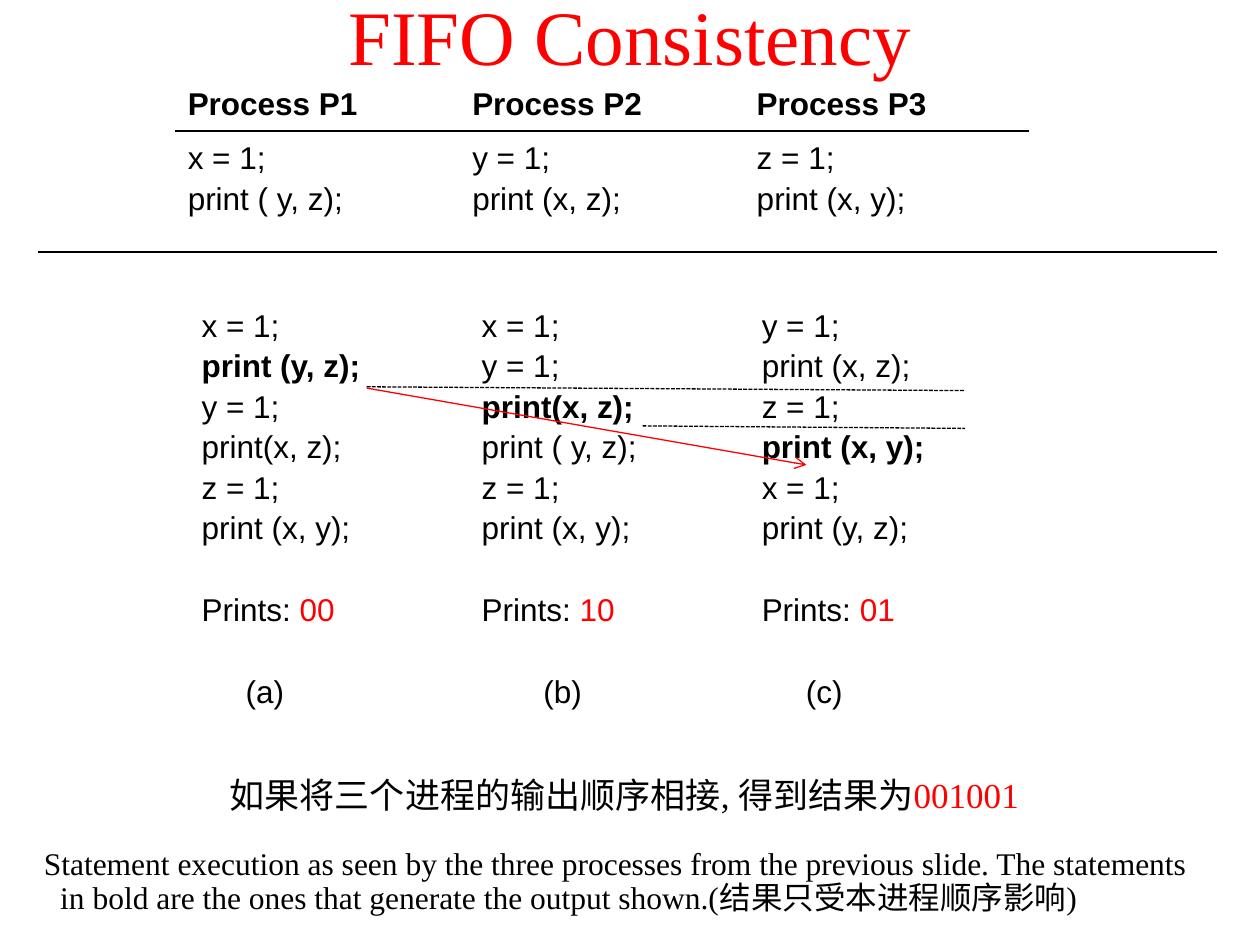
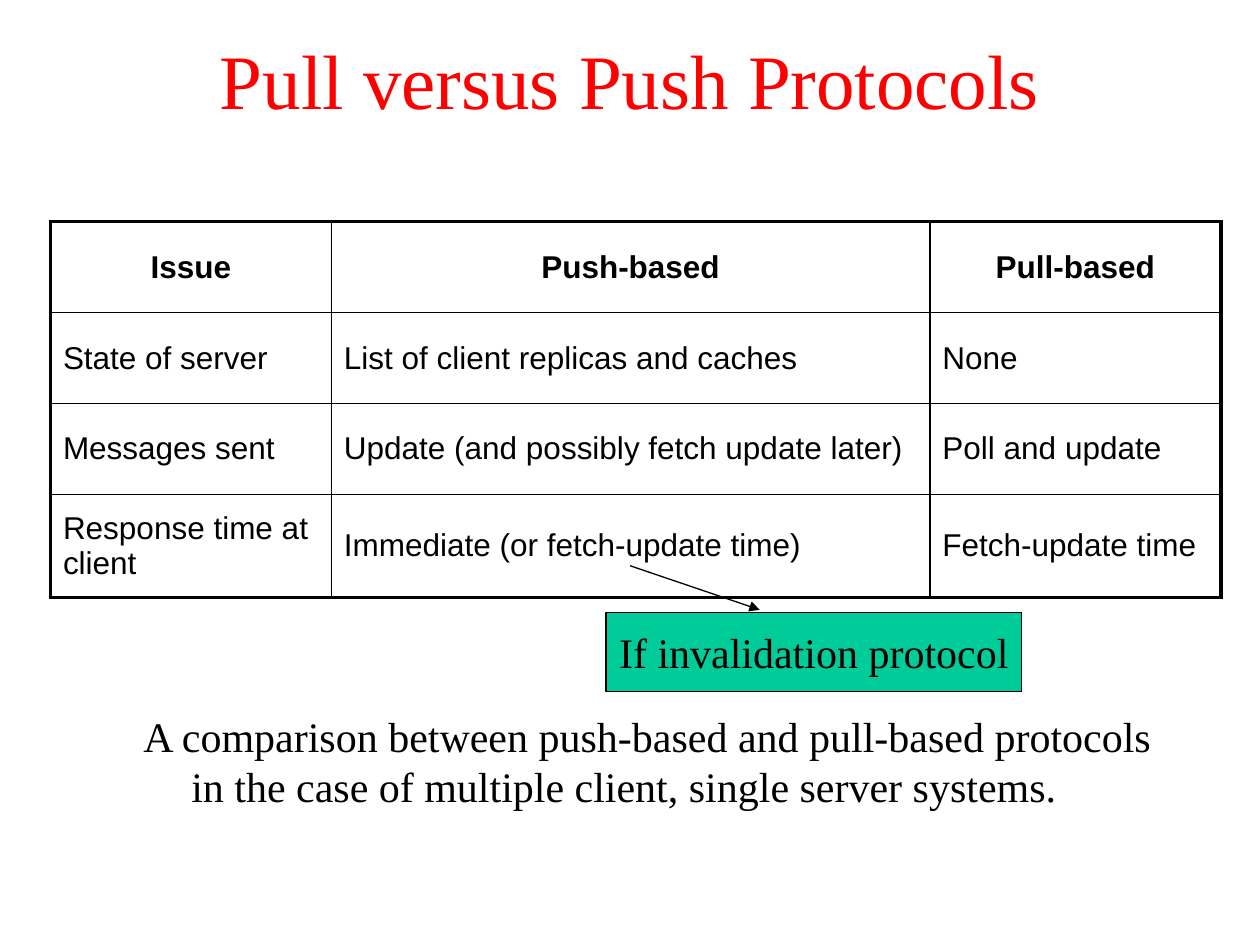
from dataclasses import dataclass
from typing import NamedTuple, Optional

import lxml.etree
import pptx
import pptx.dml.color
import pptx.enum.dml
import pptx.enum.shapes
import pptx.enum.text
import pptx.oxml
import pptx.oxml.ns
import pptx.util

COLORS = {"ink": "000000", "accent": "FF0000", "callout": "00CC99"}
SERIF, SANS = "Times New Roman", "Arial"
SLIDE_W, SLIDE_H = pptx.util.Inches(10), pptx.util.Inches(7.5)
GRID_COLS, GRID_ROWS = 100, 75
THIN, HAIR, THICK = 1, 0.75, 2.25
ALIGN = pptx.enum.text.PP_ALIGN
ANCHOR = pptx.enum.text.MSO_ANCHOR
qn = pptx.oxml.ns.qn


class Box(NamedTuple):
    col: float
    row: float
    cols: float
    rows: float


class Para(NamedTuple):
    text: str
    accent: str = ""
    bold: bool = False
    before: float = 0
    indent: float = 0
    hanging: float = 0
    spacing: Optional[float] = None


@dataclass(frozen=True)
class Style:
    font: str
    size: float
    color: str = "ink"
    align: ALIGN = ALIGN.LEFT
    anchor: ANCHOR = ANCHOR.TOP


@dataclass(frozen=True)
class Rule:
    start: tuple[float, float]
    end: tuple[float, float]
    color: str = "ink"
    dashed: bool = False
    head: str = ""


TITLE = Style(SERIF, 44, "accent", ALIGN.CENTER, ANCHOR.MIDDLE)
CODE = Style(SANS, 18)
CELL = Style(SANS, 18, anchor=ANCHOR.MIDDLE)
HEADER = Style(SANS, 18, align=ALIGN.CENTER, anchor=ANCHOR.MIDDLE)


def x(cols: float) -> int:
    return round(SLIDE_W * cols / GRID_COLS)


def y(rows: float) -> int:
    return round(SLIDE_H * rows / GRID_ROWS)


def place(box: Box) -> tuple[int, int, int, int]:
    return x(box.col), y(box.row), x(box.cols), y(box.rows)


def rgb(name: str) -> pptx.dml.color.RGBColor:
    return pptx.dml.color.RGBColor.from_string(COLORS[name])


def write(tf, paras: list[Para], style: Style) -> None:
    for i, para in enumerate(paras):
        p = tf.paragraphs[0] if i == 0 else tf.add_paragraph()
        p.text = para.text
        if para.accent:
            p.add_run().text = para.accent
        p.alignment = style.align
        p.space_before = pptx.util.Pt(para.before if i else 0)
        if para.spacing:
            p.line_spacing = para.spacing
        pPr = p._p.get_or_add_pPr()
        pPr.set("marL", str(x(para.indent)))
        pPr.set("indent", str(-x(para.hanging)))
        for j, r in enumerate(p.runs):
            r.font.name = style.font
            r.font.size = pptx.util.Pt(style.size)
            r.font.bold = para.bold
            r.font.color.rgb = rgb("accent" if j else style.color)


def add_text(s, box: Box, para: Para, style: Style) -> None:
    sp = s.shapes.add_textbox(*place(box))
    tf = sp.text_frame
    tf.word_wrap = True
    tf.vertical_anchor = style.anchor
    write(tf, [para], style)


def add_callout(s, box: Box, text: str) -> None:
    sp = s.shapes.add_shape(pptx.enum.shapes.MSO_SHAPE.RECTANGLE, *place(box))
    sp.shadow.inherit = False
    sp.fill.solid()
    sp.fill.fore_color.rgb = rgb("callout")
    sp.line.color.rgb = rgb("ink")
    sp.line.width = pptx.util.Pt(HAIR)
    sp.text_frame.word_wrap = False
    sp.text_frame.vertical_anchor = ANCHOR.MIDDLE
    write(sp.text_frame, [Para(text)], Style(SERIF, 24, align=ALIGN.CENTER))


def add_rule(s, rule: Rule) -> None:
    (x1, y1), (x2, y2) = rule.start, rule.end
    cn = s.shapes.add_connector(
        pptx.enum.shapes.MSO_CONNECTOR.STRAIGHT, x(x1), y(y1), x(x2), y(y2))
    cn.line.color.rgb = rgb(rule.color)
    cn.line.width = pptx.util.Pt(HAIR)
    if rule.dashed:
        cn.line.dash_style = pptx.enum.dml.MSO_LINE.SQUARE_DOT
        cn.line._ln.find(qn("a:prstDash")).set("val", "sysDash")
    if rule.head:
        lxml.etree.SubElement(cn.line._ln, qn("a:tailEnd"), type=rule.head)
    lxml.etree.SubElement(cn._element.spPr, qn("a:effectLst"))


def set_borders(cell, widths: dict[str, float]) -> None:
    tcPr = cell._tc.get_or_add_tcPr()
    for side in "LRTB":
        ln = lxml.etree.SubElement(tcPr, qn(f"a:ln{side}"))
        width = widths.get(side, 0)
        if width:
            ln.set("w", str(pptx.util.Pt(width)))
            fill = lxml.etree.SubElement(ln, qn("a:solidFill"))
            lxml.etree.SubElement(fill, qn("a:srgbClr"), val=COLORS["ink"])
        else:
            lxml.etree.SubElement(ln, qn("a:noFill"))


def add_table(s, col: float, row: float, widths: list[float], heights: list[float],
              cells: list[list[list[Para]]], styles: list[Style], borders) -> None:
    box = Box(col, row, sum(widths), sum(heights))
    table = s.shapes.add_table(len(heights), len(widths), *place(box)).table
    table.first_row = table.horz_banding = False
    for i, width in enumerate(widths):
        table.columns[i].width = x(width)
    for i, height in enumerate(heights):
        table.rows[i].height = y(height)
        for j, paras in enumerate(cells[i]):
            cell = table.cell(i, j)
            set_borders(cell, borders(i, j))
            cell.fill.background()
            cell.vertical_anchor = styles[i].anchor
            write(cell.text_frame, paras, styles[i])


def code(lines: list[str], bold_line: int = -1) -> list[Para]:
    return [Para(t, bold=i == bold_line, before=3) for i, t in enumerate(lines)]


def view(lines: list[str], bold_line: int, prints: str, label: str,
         label_indent: float) -> list[Para]:
    skip_line = 26.7
    return code(lines, bold_line) + [
        Para("Prints: ", prints, before=skip_line),
        Para(label, before=skip_line, indent=label_indent)]


def fifo_slide(prs) -> None:
    s = prs.slides.add_slide(prs.slide_layouts[6])
    add_text(s, Box(0, 0, 100, 5.5), Para("FIFO Consistency"), TITLE)
    add_text(s, Box(0, 66.8, 96, 6.9), Para(
        "Statement execution as seen by the three processes from the previous slide. "
        "The statements in bold are the ones that generate the output shown."
        "(结果只受本进程顺序影响)", indent=3.8, hanging=1.3, spacing=0.9), Style(SERIF, 18))
    views = [
        view(["x = 1;", "print (y, z);", "y = 1;", "print(x, z);", "z = 1;",
              "print (x, y);"], 1, "00", "(a)", 3.5),
        view(["x = 1;", "y = 1;", "print(x, z);", "print ( y, z);", "z = 1;",
              "print (x, y);"], 2, "10", "(b)", 4.9),
        view(["y = 1;", "print (x, z);", "z = 1;", "print (x, y);", "x = 1;",
              "print (y, z);"], 3, "01", "(c)", 3.5)]
    add_table(s, 15, 24, [22.23] * 3, [38.7], [views], [CODE], lambda i, j: {})
    for rule in (Rule((29.1, 30.8), (64, 36.9), "accent", head="arrow"),
                 Rule((29.1, 30.7), (76.6, 31), dashed=True),
                 Rule((51, 33.8), (76.6, 34), dashed=True)):
        add_rule(s, rule)
    add_text(s, Box(15, 60.9, 69.1, 4.4),
             Para("如果将三个进程的输出顺序相接, 得到结果为", "001001"),
             Style(SERIF, 20, align=ALIGN.CENTER))
    processes = [
        [[Para(f"Process P{n}", bold=True)] for n in (1, 2, 3)],
        [code(["x = 1;", "print ( y, z);"]), code(["y = 1;", "print (x, z);"]),
         code(["z = 1;", "print (x, y);"])]]
    add_table(s, 13.9, 6.2, [22.58] * 3, [4.2, 7.6], processes, [CELL, CELL],
              lambda i, j: {"T": THIN} if i else {"B": THIN})
    add_rule(s, Rule((3, 20), (96.6, 20)))


def protocols_slide(prs) -> None:
    s = prs.slides.add_slide(prs.slide_layouts[6])
    add_text(s, Box(0, 0, 100, 12.5), Para("Pull versus Push Protocols"), TITLE)
    add_text(s, Box(10.4, 55.9, 83.6, 9.2), Para(
        "A comparison between push-based and pull-based protocols in the case of "
        "multiple client, single server systems.", indent=3.8, hanging=3.8),
        Style(SERIF, 24))
    rows = [
        ["Issue", "Push-based", "Pull-based"],
        ["State of server", "List of client replicas and caches", "None"],
        ["Messages sent", "Update (and possibly fetch update later)", "Poll and update"],
        ["Response time at client", "Immediate (or fetch-update time)",
         "Fetch-update time"]]
    cells = [[[Para(t, bold=i == 0)] for t in row] for i, row in enumerate(rows)]
    last_row, last_col = len(rows) - 1, len(rows[0]) - 1

    def frame(i: int, j: int) -> dict[str, float]:
        outer = {"L": j == 0, "R": j == last_col, "T": i == 0, "B": i == last_row}
        return {side: THICK if edge else THIN for side, edge in outer.items()}

    add_table(s, 4, 17.6, [22.3, 47.5, 23.1], [7.22] * 3 + [8.15], cells,
              [HEADER] + [CELL] * last_row, frame)
    add_callout(s, Box(48.1, 48.6, 33, 6.3), "If invalidation protocol")
    add_rule(s, Rule((50, 44.9), (60.3, 48.4), head="triangle"))


def main() -> None:
    prs = pptx.Presentation()
    prs.slide_width, prs.slide_height = SLIDE_W, SLIDE_H
    fifo_slide(prs)
    protocols_slide(prs)
    prs.save("out.pptx")


if __name__ == "__main__":
    main()
